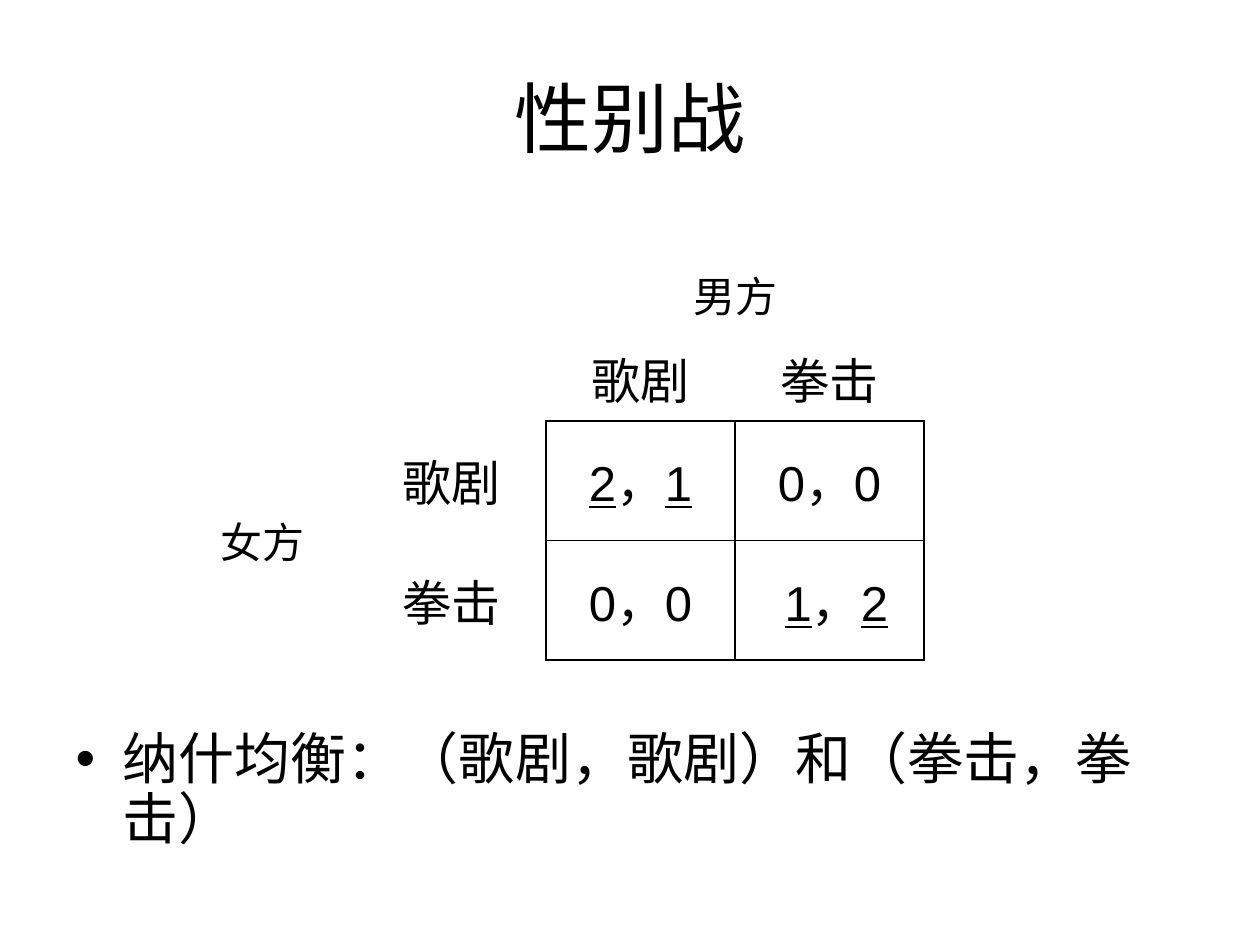
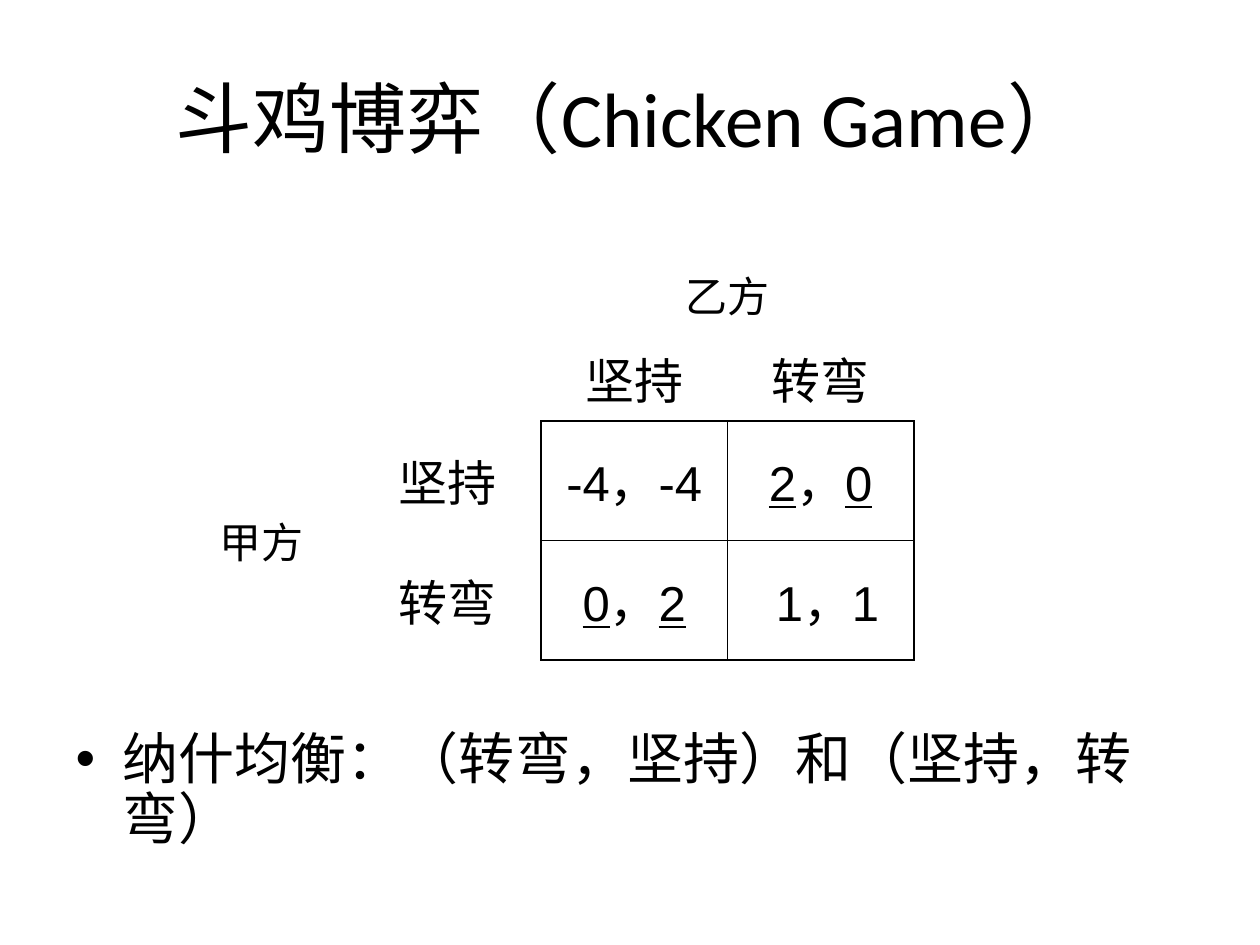
from lxml import etree
from pptx import Presentation
from pptx import util as u
from pptx.dml import color
from pptx.enum import text
from pptx.oxml import ns

COLORS = {"ink": "000000", "paper": "FFFFFF"}
FONTS = {"slide": "Calibri", "table": "Arial"}
WIDTH, HEIGHT = u.Inches(10), u.Inches(7.5)
TITLE_BOX = (0.05, 0.04, 0.9, 1 / 6)
BODY_BOX = (0.05, 7 / 30, 0.9, 11 / 15)
ROW_HEIGHTS = (0.67, 0.67, 0.95, 0.95)
PAYOFF_START = 2  # first row and first column of the payoff cells
BORDER_SIDES = {"L": (0, -1), "R": (0, 1), "T": (-1, 0), "B": (1, 0)}

GAMES = [
    {
        "title": "性别战",
        "row_player": "女方",
        "column_player": "男方",
        "moves": ("歌剧", "拳击"),
        "payoffs": (("_2_，_1_", "0，0"), ("0，0", " _1_，_2_")),
        "column_width": 1.5,
        "equilibria": "纳什均衡：（歌剧，歌剧）和（拳击，拳击）",
    },
    {
        "title": "斗鸡博弈（Chicken Game）",
        "row_player": "甲方",
        "column_player": "乙方",
        "moves": ("坚持", "转弯"),
        "payoffs": (("-4，-4", "_2_，_0_"), ("_0_，_2_", " 1，1")),
        "column_width": 1.48,
        "equilibria": "纳什均衡：（转弯，坚持）和（坚持，转弯）",
    },
]


def write_text(frame, content, *, size, font, align=None, line_spacing=None):
    """Write one paragraph; parts between underscores are underlined."""
    paragraph = frame.paragraphs[0]
    paragraph.alignment = align
    paragraph.line_spacing = line_spacing
    for index, part in enumerate(content.split("_")):
        if not part:
            continue
        run = paragraph.add_run()
        run.text = part
        run.font.size = u.Pt(size)
        run.font.name = font
        run.font.color.rgb = color.RGBColor.from_string(COLORS["ink"])
        if index % 2:
            run.font.underline = True


def place(shape, box):
    """Put a shape in a box given as shares of the slide."""
    left, top, width, height = box
    shape.left, shape.width = round(left * WIDTH), round(width * WIDTH)
    shape.top, shape.height = round(top * HEIGHT), round(height * HEIGHT)


def add_title(slide, box, title):
    """Fill the title placeholder."""
    shape = slide.shapes.title
    place(shape, box)
    shape.text_frame.vertical_anchor = text.MSO_ANCHOR.MIDDLE
    write_text(shape.text_frame, title, size=44, font=FONTS["slide"],
               align=text.PP_ALIGN.CENTER)


def add_equilibria(slide, box, sentence):
    """Fill the body placeholder, its bullet set below the payoff table."""
    shape = slide.placeholders[1]
    place(shape, box)
    frame = shape.text_frame
    frame.auto_size = text.MSO_AUTO_SIZE.NONE
    frame.margin_top = u.Inches(4.05)
    write_text(frame, sentence, size=32, font=FONTS["slide"], line_spacing=0.9)
    frame.paragraphs[0].space_before = u.Pt(0)


def is_payoff(row, column):
    """Tell whether a grid position holds a payoff pair."""
    return all(PAYOFF_START <= index < 4 for index in (row, column))


def set_borders(cell, row, column):
    """Draw the sides that touch a payoff cell and clear the others."""
    properties = cell._tc.get_or_add_tcPr()
    for index, (side, (down, across)) in enumerate(BORDER_SIDES.items()):
        line = etree.Element(ns.qn(f"a:ln{side}"), w=str(u.Pt(1)))
        if is_payoff(row, column) or is_payoff(row + down, column + across):
            fill = etree.SubElement(line, ns.qn("a:solidFill"))
            etree.SubElement(fill, ns.qn("a:srgbClr"), val=COLORS["ink"])
        else:
            etree.SubElement(line, ns.qn("a:noFill"))
        properties.insert(index, line)


def add_payoff_table(slide, left, top, game):
    """Add the two-player matrix with its players, moves and payoffs."""
    width = u.Inches(game["column_width"])
    heights = [u.Inches(height) for height in ROW_HEIGHTS]
    table = slide.shapes.add_table(4, 4, round(left * WIDTH), round(top * HEIGHT),
                                   4 * width, sum(heights)).table
    table.first_row = table.horz_banding = False
    for column in table.columns:
        column.width = width
    for row, height in zip(table.rows, heights):
        row.height = height
    table.cell(0, 2).merge(table.cell(0, 3))
    table.cell(2, 0).merge(table.cell(3, 0))

    entries = {(0, 2): (game["column_player"], 24), (2, 0): (game["row_player"], 24)}
    for index, move in enumerate(game["moves"]):
        line = PAYOFF_START + index
        entries[1, line] = entries[line, 1] = (move, 28)
        for offset, payoff in enumerate(game["payoffs"][index]):
            entries[line, PAYOFF_START + offset] = (payoff, 28)

    for row in range(4):
        for column in range(4):
            cell = table.cell(row, column)
            cell.fill.background()
            cell.vertical_anchor = text.MSO_ANCHOR.MIDDLE
            set_borders(cell, row, column)
            if (row, column) in entries:
                content, size = entries[row, column]
                write_text(cell.text_frame, content, size=size, font=FONTS["table"],
                           align=text.PP_ALIGN.CENTER)


def add_game_slide(presentation, game):
    """Add one slide with a title, a payoff table and the equilibria."""
    slide = presentation.slides.add_slide(presentation.slide_layouts[1])
    fill = slide.background.fill
    fill.solid()
    fill.fore_color.rgb = color.RGBColor.from_string(COLORS["paper"])
    add_title(slide, TITLE_BOX, game["title"])
    add_equilibria(slide, BODY_BOX, game["equilibria"])
    add_payoff_table(slide, 2 / 15, 4 / 15, game)


def main():
    """Build and save the presentation."""
    presentation = Presentation()
    presentation.slide_width, presentation.slide_height = WIDTH, HEIGHT
    for game in GAMES:
        add_game_slide(presentation, game)
    presentation.save("out.pptx")


main()
